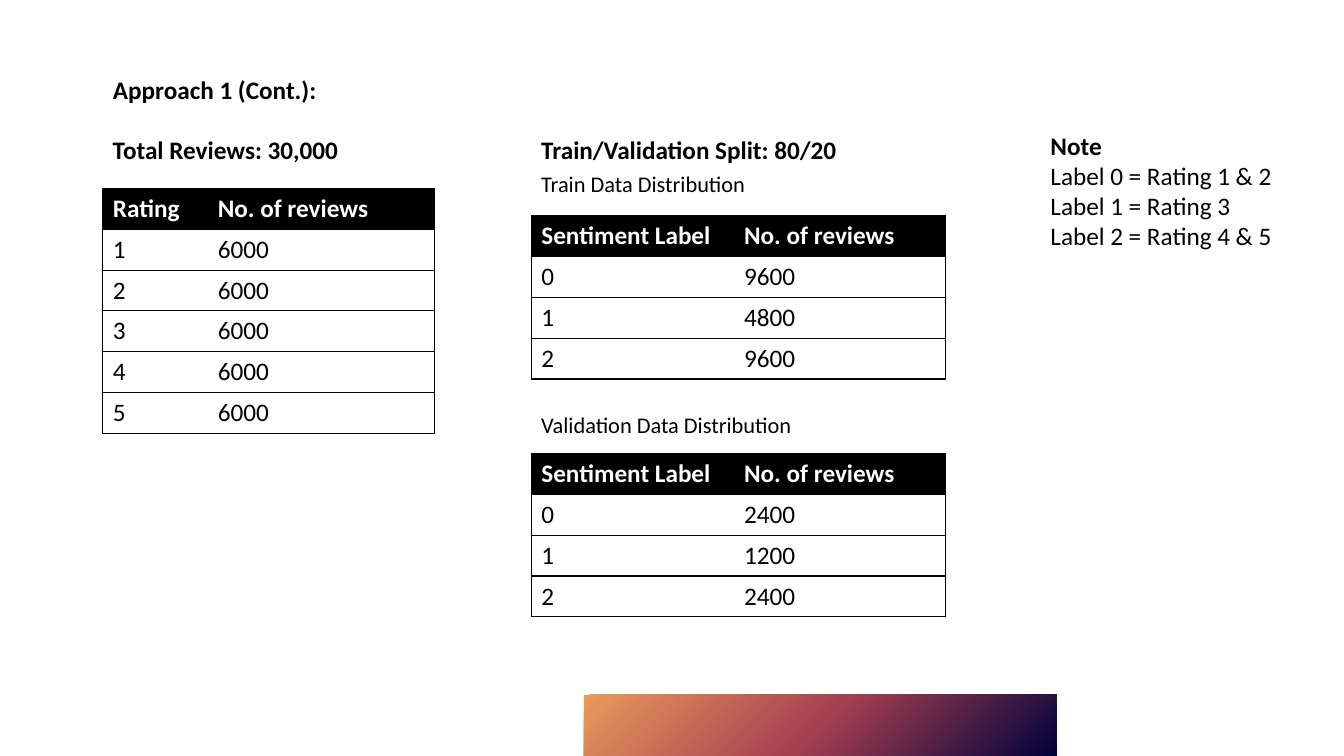
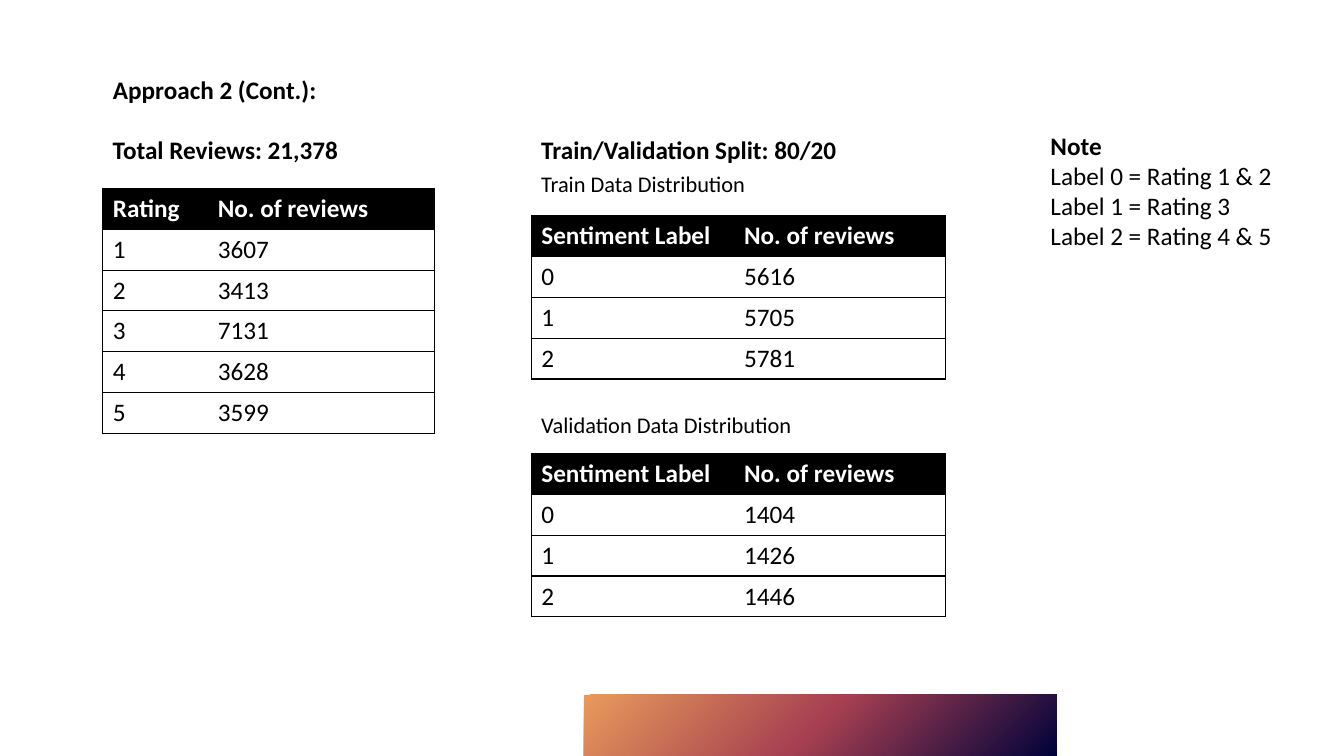
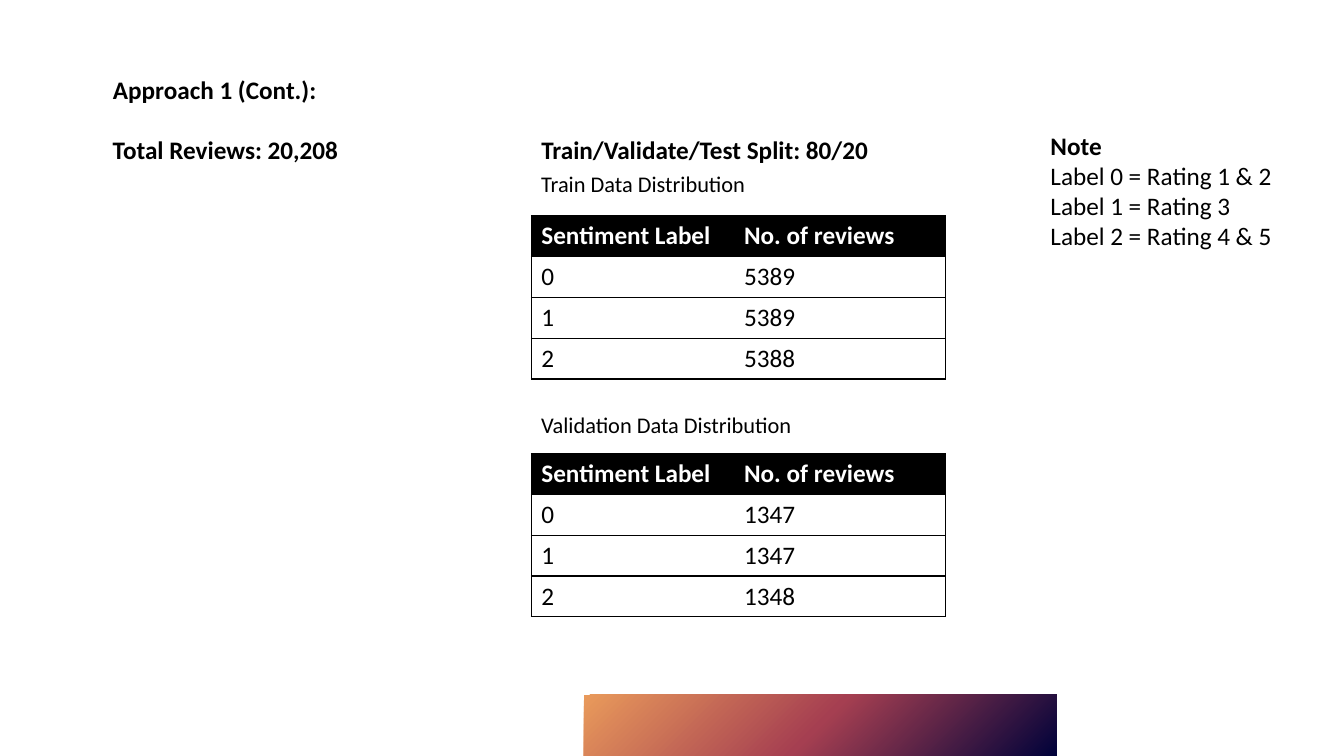
from dataclasses import dataclass

from pptx import Presentation
from pptx.dml.color import RGBColor
from pptx.enum.shapes import MSO_SHAPE
from pptx.enum.text import MSO_ANCHOR, MSO_AUTO_SIZE, PP_ALIGN
from pptx.oxml import parse_xml
from pptx.oxml.ns import nsdecls
from pptx.util import Inches, Pt


@dataclass(frozen=True)
class Theme:
    font: str = "Calibri"
    ink: str = "000000"
    paper: str = "FFFFFF"
    band: tuple = ("00023A", "A53F51", "E99A5B")
    body: int = 18
    caption: int = 16
    rule: int = 1


@dataclass(frozen=True)
class Approach:
    title: str
    total: str
    split: str
    ratings: tuple
    train: tuple
    validation: tuple
    split_w: float = 3.66


THEME = Theme()
SLIDE_W, SLIDE_H = 13.33, 7.5
COLUMNS = 1.02, 5.27, 10.32
TITLE_Y, HEADING_Y, NOTE_Y = 0.69, 1.28, 1.24
TEXT_W, NOTE_W = 3.66, 2.71
ROW_H, CAPTION_H = 0.4, 0.37
TABLE_ROW_H = 0.405
RATING_COLS, LABEL_COLS = (1.04, 2.25), (2.01, 2.1)
NO_STYLE = "{2D5ABB26-0587-4C30-8999-92F81FD0307C}"
NOTE = ("Note", "Label 0 = Rating 1 & 2", "Label 1 = Rating 3",
        "Label 2 = Rating 4 & 5")

APPROACHES = (
    Approach("Approach 1 (Cont.):", "30,000", "Train/Validation Split: 80/20",
             (6000,) * 5, (9600, 4800, 9600), (2400, 1200, 2400)),
    Approach("Approach 2 (Cont.):", "21,378", "Train/Validation Split: 80/20",
             (3607, 3413, 7131, 3628, 3599),
             (5616, 5705, 5781), (1404, 1426, 1446)),
    Approach("Approach 1 (Cont.):", "20,208", "Train/Validate/Test Split: 80/20",
             (), (5389, 5389, 5388), (1347, 1347, 1348), sum(LABEL_COLS)),
)


def style(p, size=THEME.body, bold=False, color=THEME.ink):
    p.alignment = PP_ALIGN.LEFT
    f = p.font
    f.name, f.size, f.bold = THEME.font, Pt(size), bold
    f.color.rgb = RGBColor.from_string(color)


def add_text(s, x, y, w, h, lines, size=THEME.body, bold=False):
    """Add a text box whose first line may be bold."""
    tf = s.shapes.add_textbox(*map(Inches, (x, y, w, h))).text_frame
    tf.word_wrap = True
    tf.text = "\n".join(lines)
    for i, p in enumerate(tf.paragraphs):
        style(p, size, bold and i == 0)


def add_title(s, text):
    sp = s.shapes.title
    sp.left, sp.top, sp.width, sp.height = map(
        Inches, (COLUMNS[0], TITLE_Y, TEXT_W, ROW_H))
    tf = sp.text_frame
    tf.text = text
    tf.word_wrap = True
    tf.auto_size = MSO_AUTO_SIZE.NONE
    tf.vertical_anchor = MSO_ANCHOR.TOP
    style(tf.paragraphs[0], bold=True)


def set_borders(cell, sides):
    tc_pr = cell._tc.get_or_add_tcPr()
    for i, side in enumerate(sides):
        tc_pr.insert(i, parse_xml(
            f'<a:ln{side} {nsdecls("a")} w="{Pt(THEME.rule)}"><a:solidFill>'
            f'<a:srgbClr val="{THEME.ink}"/></a:solidFill></a:ln{side}>'))


def add_count_table(s, x, y, widths, label, first, counts):
    """Add a table of review counts, its keys numbered from first."""
    rows = [(label, "No. of reviews"), *enumerate(counts, first)]
    table = s.shapes.add_table(
        len(rows), len(widths), Inches(x), Inches(y),
        Inches(sum(widths)), Inches(TABLE_ROW_H * len(rows))).table
    table._tbl.tblPr.find("{*}tableStyleId").text = NO_STYLE
    table.first_row = table.horz_banding = False
    for column, w in zip(table.columns, widths):
        column.width = Inches(w)
    for r, row in enumerate(rows):
        table.rows[r].height = Inches(TABLE_ROW_H)
        for c, value in enumerate(row):
            cell = table.cell(r, c)
            cell.text = str(value)
            header = r == 0
            style(cell.text_frame.paragraphs[0], bold=header,
                  color=THEME.paper if header else THEME.ink)
            if header:
                cell.fill.solid()
                cell.fill.fore_color.rgb = RGBColor.from_string(THEME.ink)
            else:
                cell.fill.background()
            set_borders(cell, ("R" if c else "L") + "TB")


def add_ratings(s, x, y, a):
    add_text(s, x, y, TEXT_W, ROW_H, [f"Total Reviews: {a.total}"], bold=True)
    if a.ratings:
        add_count_table(s, x, y + 0.59, RATING_COLS, "Rating", 1, a.ratings)


def add_split(s, x, y, a):
    add_text(s, x, y, a.split_w, ROW_H, [a.split], bold=True)
    for name, counts, caption_dy, table_dy in (
            ("Train", a.train, 0.36, 0.86),
            ("Validation", a.validation, 2.75, 3.22)):
        add_text(s, x, y + caption_dy, TEXT_W, CAPTION_H,
                 [f"{name} Data Distribution"], THEME.caption)
        add_count_table(s, x, y + table_dy, LABEL_COLS, "Sentiment Label", 0, counts)


def add_band(s, layout):
    """Draw the gradient band and hand it to the layout all slides share."""
    band = s.shapes.add_shape(MSO_SHAPE.RECTANGLE,
                              *map(Inches, (5.79, 6.89, 4.69, 0.61)))
    band.shadow.inherit = False
    band.line.fill.background()
    stops = "".join(f'<a:gs pos="{i * 50000}"><a:srgbClr val="{color}"/></a:gs>'
                    for i, color in enumerate(THEME.band))
    band.element.spPr.insert(2, parse_xml(
        f'<a:gradFill {nsdecls("a")} rotWithShape="1"><a:gsLst>{stops}</a:gsLst>'
        '<a:path path="circle"><a:fillToRect l="100000" t="100000"/></a:path>'
        '<a:tileRect r="-100000" b="-100000"/></a:gradFill>'))
    layout.shapes.element.append(band.element)


def add_approach_slide(prs, layout, a):
    s = prs.slides.add_slide(layout)
    left, middle, right = COLUMNS
    add_title(s, a.title)
    add_ratings(s, left, HEADING_Y, a)
    add_split(s, middle, HEADING_Y, a)
    add_text(s, right, NOTE_Y, NOTE_W, 1.31, NOTE, bold=True)
    return s


def main():
    prs = Presentation()
    prs.slide_width, prs.slide_height = Inches(SLIDE_W), Inches(SLIDE_H)
    layout = prs.slide_layouts.get_by_name("Title Only")
    slides = [add_approach_slide(prs, layout, a) for a in APPROACHES]
    add_band(slides[0], layout)
    prs.save("out.pptx")


if __name__ == "__main__":
    main()
